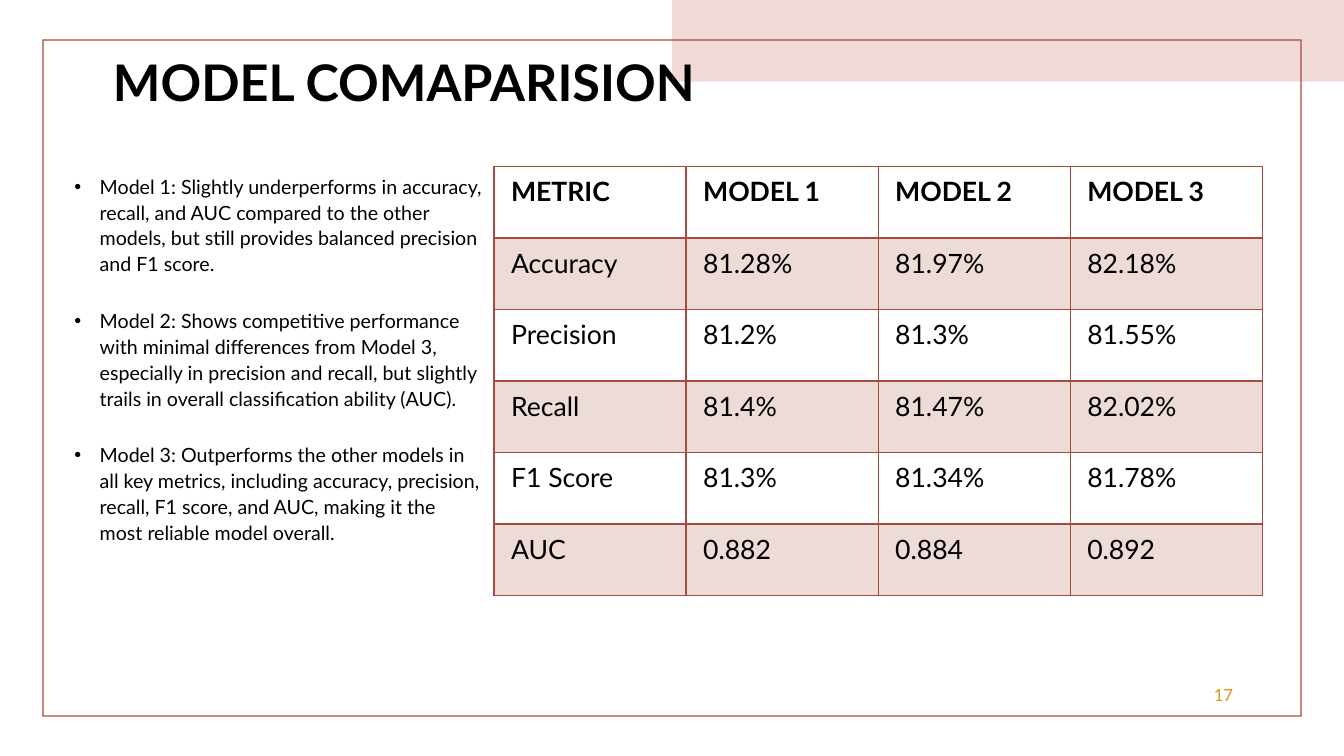
import dataclasses

import lxml.etree
import pptx
import pptx.dml.color
import pptx.enum.shapes
import pptx.enum.text
import pptx.oxml.ns
import pptx.util

Inches = pptx.util.Inches
Points = pptx.util.Pt
Alignment = pptx.enum.text.PP_ALIGN
Anchor = pptx.enum.text.MSO_ANCHOR
qualified = pptx.oxml.ns.qn


@dataclasses.dataclass(frozen=True)
class Theme:
    font: str = "Lato"
    text: str = "000000"
    accent: str = "A74B40"
    band: str = "F0D9D7"
    number: str = "DE9415"
    title_size: int = 36
    table_size: int = 19
    body_size: int = 14
    number_size: int = 12
    stripe_opacity: int = 20


THEME = Theme()
WIDTH, HEIGHT = 13.33, 7.5

TITLE = "MODEL COMAPARISION"
FINDINGS = [
    "Model 1: Slightly underperforms in accuracy, recall, and AUC compared to the other models, "
    "but still provides balanced precision and F1 score.",
    "Model 2: Shows competitive performance with minimal differences from Model 3, especially in "
    "precision and recall, but slightly trails in overall classification ability (AUC).",
    "Model 3: Outperforms the other models in all key metrics, including accuracy, precision, "
    "recall, F1 score, and AUC, making it the most reliable model overall.",
]
METRICS = [
    ["METRIC", "MODEL 1", "MODEL 2", "MODEL 3"],
    ["Accuracy", "81.28%", "81.97%", "82.18%"],
    ["Precision", "81.2%", "81.3%", "81.55%"],
    ["Recall", "81.4%", "81.47%", "82.02%"],
    ["F1 Score", "81.3%", "81.34%", "81.78%"],
    ["AUC", "0.882", "0.884", "0.892"],
]


def color(value):
    return pptx.dml.color.RGBColor.from_string(value)


def lengths(box):
    return [Inches(value) for value in box]


def write(paragraph, text, size, fill=THEME.text, bold=False, align=Alignment.LEFT,
          line_spacing=1.0, before=0, after=0):
    """Write text into a paragraph and format it."""
    paragraph.alignment = align
    paragraph.line_spacing = line_spacing
    paragraph.space_before = Points(before)
    paragraph.space_after = Points(after)
    run = paragraph.add_run()
    run.text = text
    run.font.name = THEME.font
    run.font.size = Points(size)
    run.font.bold = bold
    run.font.color.rgb = color(fill)


def add_text_frame(slide, box, anchor=Anchor.TOP):
    frame = slide.shapes.add_textbox(*lengths(box)).text_frame
    frame.word_wrap = True
    frame.vertical_anchor = anchor
    return frame


def add_block(slide, preset, box, fill):
    shape = slide.shapes.add_shape(preset, *lengths(box))
    shape.shadow.inherit = False
    shape.fill.solid()
    shape.fill.fore_color.rgb = color(fill)
    shape.line.fill.background()
    return shape


def add_decoration(slide, box):
    """Corner band over the right half, and the thin frame around the page."""
    left, top, width, height = box
    shapes = pptx.enum.shapes.MSO_SHAPE
    add_block(slide, shapes.RECTANGLE, (left + width / 2, top, width / 2, 0.81), THEME.band)
    margin_x, margin_y = 0.42, 0.39
    inner = (left + margin_x, top + margin_y, width - 2 * margin_x, height - 2 * margin_y)
    add_block(slide, shapes.FRAME, inner, THEME.accent).adjustments[0] = 0.002


def add_title(slide, box):
    title = slide.shapes.title
    title.left, title.top, title.width, title.height = lengths(box)
    title.text_frame.vertical_anchor = Anchor.TOP
    title.text_frame.word_wrap = True
    write(title.text_frame.paragraphs[0], TITLE, THEME.title_size, bold=True, line_spacing=0.9)


def add_findings(slide, box):
    frame = add_text_frame(slide, box)
    for index, finding in enumerate(FINDINGS):
        paragraph = frame.add_paragraph() if index else frame.paragraphs[0]
        write(paragraph, finding, THEME.body_size, line_spacing=1.1, before=10, after=12)
        # Hanging bullet
        properties = paragraph._p.get_or_add_pPr()
        properties.set("marL", str(Inches(0.25)))
        properties.set("indent", str(-Inches(0.25)))
        font = lxml.etree.SubElement(properties, qualified("a:buFont"))
        font.set("typeface", "Arial")
        lxml.etree.SubElement(properties, qualified("a:buChar")).set("char", "•")


def set_borders(cell, widths):
    """Draw the left, right, top and bottom borders, which precede the fill."""
    properties = cell._tc.get_or_add_tcPr()
    for index, (side, width) in enumerate(zip("LRTB", widths)):
        line = lxml.etree.Element(qualified(f"a:ln{side}"), w=str(Points(width)))
        fill = lxml.etree.SubElement(line, qualified("a:solidFill"))
        lxml.etree.SubElement(fill, qualified("a:srgbClr"), val=THEME.accent)
        properties.insert(index, line)


def fill_stripe(cell):
    cell.fill.solid()
    cell.fill.fore_color.rgb = color(THEME.accent)
    tint = cell._tc.tcPr.find(".//" + qualified("a:srgbClr"))
    opacity = lxml.etree.SubElement(tint, qualified("a:alpha"))
    opacity.set("val", str(THEME.stripe_opacity * 1000))


def add_metrics_table(slide, box):
    left, top, width, height = box
    row_count, column_count = len(METRICS), len(METRICS[0])
    table = slide.shapes.add_table(row_count, column_count, *lengths(box)).table
    table.first_row = table.horz_banding = False
    for column in table.columns:
        column.width = Inches(width / column_count)
    for row in table.rows:
        row.height = Inches(height / row_count)
    for row_index, values in enumerate(METRICS):
        for column_index, value in enumerate(values):
            cell = table.cell(row_index, column_index)
            cell.margin_left = cell.margin_right = Inches(0.17)
            cell.margin_top = cell.margin_bottom = Inches(0.09)
            write(cell.text_frame.paragraphs[0], value, THEME.table_size, bold=row_index == 0)
            if row_index % 2:
                fill_stripe(cell)
            else:
                cell.fill.background()
            # The rule under the header is twice as thick
            set_borders(cell, (1, 1, 2 if row_index == 1 else 1, 2 if row_index == 0 else 1))


def add_page_number(slide, box):
    frame = add_text_frame(slide, box, Anchor.MIDDLE)
    write(frame.paragraphs[0], "17", THEME.number_size, fill=THEME.number,
          align=Alignment.RIGHT, after=6)


def add_comparison_slide(presentation):
    slide = presentation.slides.add_slide(presentation.slide_layouts[5])
    add_decoration(slide, (0, 0, WIDTH, HEIGHT))
    # Keep the title in front of the decoration
    slide.shapes._spTree.append(slide.shapes.title._element)
    add_title(slide, (1.02, 0.53, 11.5, 1.67))
    add_findings(slide, (0.64, 1.66, 4.25, 4.59))
    add_page_number(slide, (9.33, 6.69, 3, 0.4))
    add_metrics_table(slide, (4.9, 1.65, 7.62, 4.26))


def main():
    presentation = pptx.Presentation()
    presentation.slide_width = Inches(WIDTH)
    presentation.slide_height = Inches(HEIGHT)
    add_comparison_slide(presentation)
    presentation.save("out.pptx")


if __name__ == "__main__":
    main()
